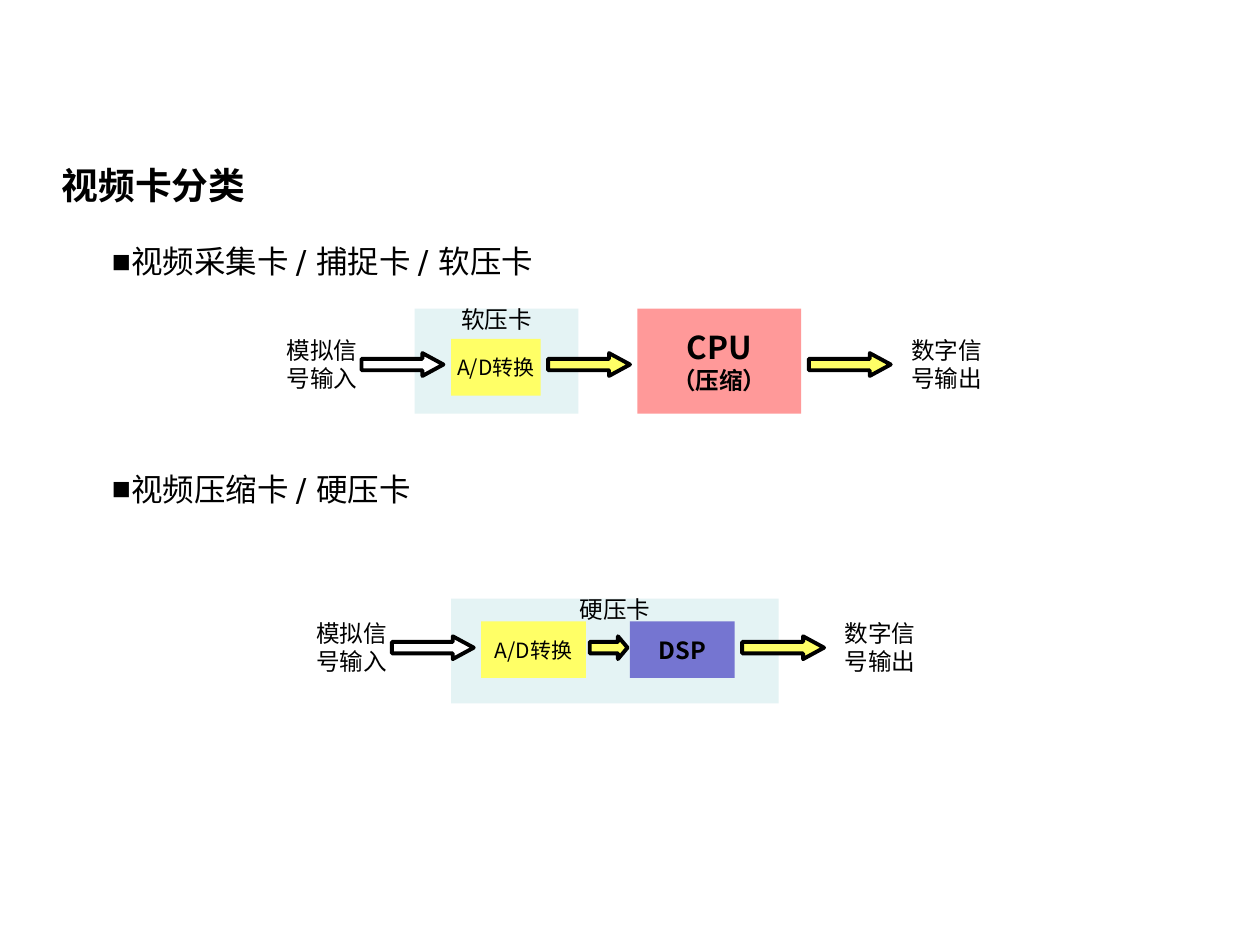
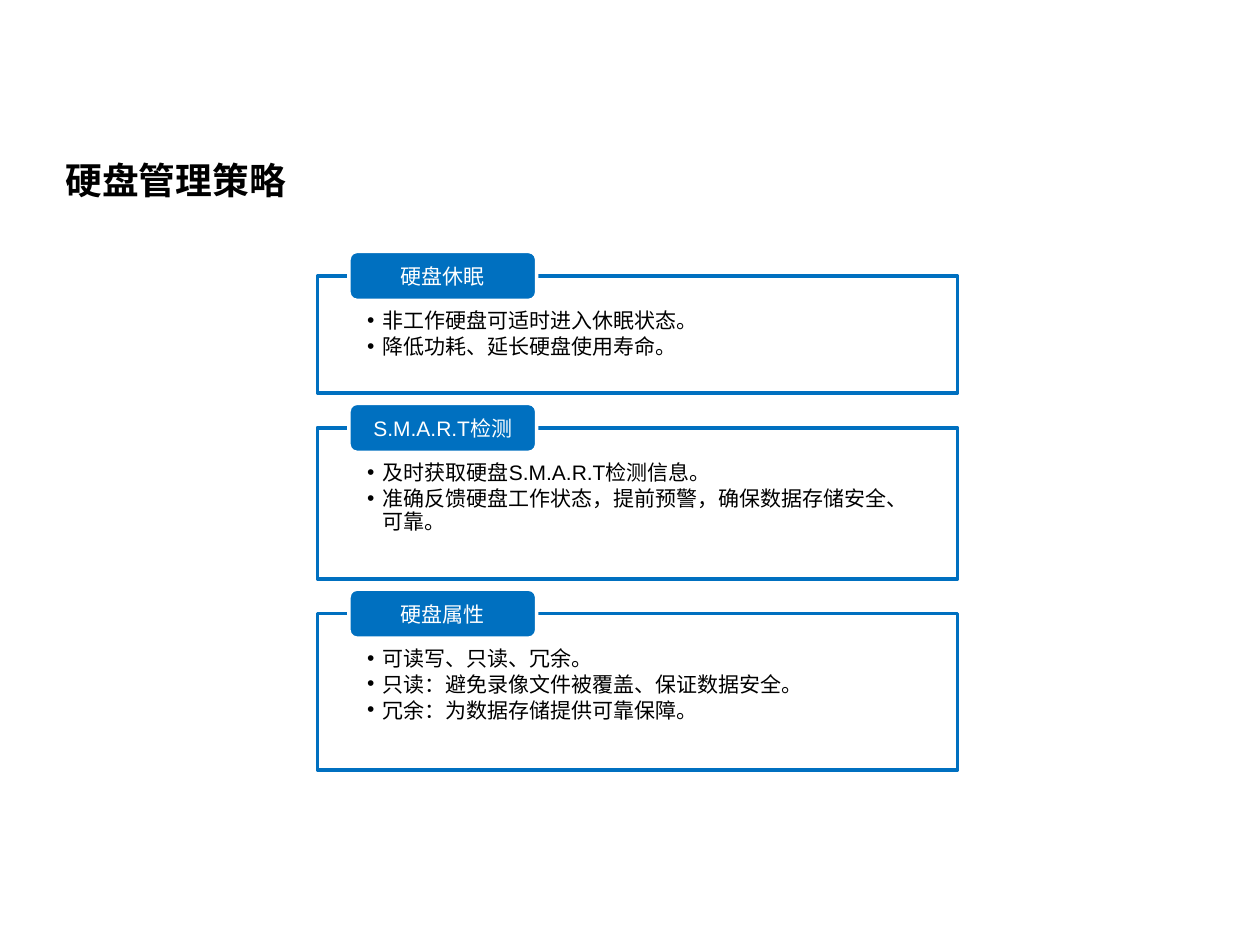
from lxml import etree
from pptx import Presentation
from pptx.dml.color import RGBColor
from pptx.enum.lang import MSO_LANGUAGE_ID
from pptx.enum.shapes import MSO_SHAPE
from pptx.enum.text import MSO_ANCHOR, PP_ALIGN
from pptx.oxml.ns import qn
from pptx.util import Pt

BLACK = RGBColor(0x00, 0x00, 0x00)
WHITE = RGBColor(0xFF, 0xFF, 0xFF)
YELLOW = RGBColor(0xFF, 0xFF, 0x66)
PALE_TEAL = RGBColor(0xE4, 0xF3, 0xF4)
PINK = RGBColor(0xFF, 0x99, 0x99)
VIOLET = RGBColor(0x75, 0x75, 0xD1)
BLUE = RGBColor(0x00, 0x70, 0xC0)

RECT = MSO_SHAPE.RECTANGLE
ROUNDED = MSO_SHAPE.ROUNDED_RECTANGLE
ARROW = MSO_SHAPE.RIGHT_ARROW
LEFT, CENTER = PP_ALIGN.LEFT, PP_ALIGN.CENTER
TOP, MIDDLE = MSO_ANCHOR.TOP, MSO_ANCHOR.MIDDLE
CHINESE = MSO_LANGUAGE_ID.SIMPLIFIED_CHINESE

TITLE = {"name": "Arial", "size": Pt(21), "bold": True}
TOPIC = {"name": "DejaVu Sans", "size": Pt(18)}
LABEL = {"name": "Noto Sans CJK SC", "size": Pt(13.5)}
STRONG = {**LABEL, "bold": True}
CHIP = {**STRONG, "size": Pt(18)}
STAGE = {**LABEL, "size": Pt(12)}
POINT = {"name": "Arial", "size": Pt(12)}
TAG = {**POINT, "color": WHITE}

CARD_TYPES = {
    "title": "视频卡分类",
    "title_at": (28, 90.7),
    "topics": ["视频采集卡 / 捕捉卡 / 软压卡", "视频压缩卡 / 硬压卡"],
    "flows": [
        {
            "axis": 208.3,
            "panel": ("软压卡", 236.9, 176.4, 93.6),
            "blocks": [
                ([("A/D转换", STAGE)], YELLOW, 257.8, 193.7, 51.1, 32.4),
                ([("CPU", CHIP), ("（压缩）", STRONG)], PINK, 364.3, 176.4, 93.6, 60),
            ],
            "arrows": [(206.6, 46.8, WHITE), (313.2, 46.8, YELLOW), (462.2, 46.8, YELLOW)],
            "ends": [("模拟信号输入", 152), ("数字信号输出", 509)],
        },
        {
            "axis": 370.1,
            "panel": ("硬压卡", 257.8, 342, 187.2),
            "blocks": [
                ([("A/D转换", STAGE)], YELLOW, 275, 355, 59.8, 32.4),
                ([("DSP", STRONG)], VIOLET, 360, 355, 59.8, 32.4),
            ],
            "arrows": [(223.9, 46.8, WHITE), (337, 21.6, YELLOW), (424.1, 46.8, YELLOW)],
            "ends": [("模拟信号输入", 168.9), ("数字信号输出", 471)],
        },
    ],
}

DISK_POLICY = {
    "title": "硬盘管理策略",
    "title_at": (30.2, 87.8),
    "cards": [
        ("硬盘休眠", 67, ["非工作硬盘可适时进入休眠状态。", "降低功耗、延长硬盘使用寿命。"]),
        ("S.M.A.R.T检测", 86.4, [
            "及时获取硬盘S.M.A.R.T检测信息。",
            "准确反馈硬盘工作状态，提前预警，确保数据存储安全、可靠。",
        ]),
        ("硬盘属性", 89.3, [
            "可读写、只读、冗余。",
            "只读：避免录像文件被覆盖、保证数据安全。",
            "冗余：为数据存储提供可靠保障。",
        ]),
    ],
}

PANEL_HEIGHT = 60
ARROW_HEIGHT = 13
END_WIDTH, END_HEIGHT = 64, 40.3
CARD_LEFT, CARD_TOP, CARD_WIDTH, CARD_GAP = 181.4, 157.7, 365.8, 19.8
TAG_LEFT, TAG_WIDTH, TAG_HEIGHT, TAG_RISE = 199.4, 107.3, 28, 14


def set_font(font, style):
    values = {"language_id": CHINESE, **style}
    font.color.rgb = values.pop("color", BLACK)
    for field, value in values.items():
        setattr(font, field, value)


def set_bullet(paragraph, symbol, indent):
    properties = paragraph._p.get_or_add_pPr()
    properties.set("marL", str(Pt(indent)))
    properties.set("indent", str(-Pt(indent)))
    etree.SubElement(properties, qn("a:buFont")).set("typeface", "Arial")
    etree.SubElement(properties, qn("a:buChar")).set("char", symbol)


def write(shape, lines, align=CENTER, anchor=MIDDLE, insets=(0, 0, 0, 0),
          wrap=True, bullet=None, **spacing):
    frame = shape.text_frame
    frame.word_wrap = wrap
    frame.vertical_anchor = anchor
    for side, inset in zip(("left", "top", "right", "bottom"), insets):
        setattr(frame, f"margin_{side}", Pt(inset))
    for number, (text, style) in enumerate(lines):
        paragraph = frame.add_paragraph() if number else frame.paragraphs[0]
        paragraph.alignment = align
        for field, value in spacing.items():
            if number or field != "space_before":
                setattr(paragraph, field, Pt(value))
        if bullet:
            set_bullet(paragraph, *bullet)
        run = paragraph.add_run()
        run.text = text
        set_font(run.font, style)


def add_block(slide, preset, left, top, width, height, fill, line=None, weight=2):
    block = slide.shapes.add_shape(preset, Pt(left), Pt(top), Pt(width), Pt(height))
    block.shadow.inherit = False
    block.fill.solid()
    block.fill.fore_color.rgb = fill
    if line is None:
        block.line.fill.background()
    else:
        block.line.color.rgb = line
        block.line.width = Pt(weight)
    return block


def add_text(slide, left, top, width, height):
    return slide.shapes.add_textbox(Pt(left), Pt(top), Pt(width), Pt(height))


def add_titled_slide(deck, content):
    slide = deck.slides.add_slide(deck.slide_layouts[5])
    title = slide.shapes.title
    left, top = content["title_at"]
    for field, value in {"left": left, "top": top, "width": 538.6, "height": 29.5}.items():
        setattr(title, field, Pt(value))
    write(title, [(content["title"], TITLE)], align=LEFT, insets=(7.2, 3.6, 7.2, 3.6))
    return slide


def add_flow(slide, flow):
    name, left, top, width = flow["panel"]
    panel = add_block(slide, RECT, left, top, width, PANEL_HEIGHT, PALE_TEAL)
    write(panel, [(name, LABEL)], anchor=TOP, insets=(0, -2, 0, 0), line_spacing=16)
    for lines, fill, left, top, width, height in flow["blocks"]:
        block = add_block(slide, RECT, left, top, width, height, fill)
        write(block, lines, wrap=False)
    for left, width, fill in flow["arrows"]:
        arrow = add_block(slide, ARROW, left, flow["axis"] - ARROW_HEIGHT / 2,
                          width, ARROW_HEIGHT, fill, BLACK, 2.25)
        arrow.adjustments[1] = 0.92 if width > 30 else 0.42
    for text, left in flow["ends"]:
        end = add_text(slide, left, flow["axis"] - END_HEIGHT / 2, END_WIDTH, END_HEIGHT)
        write(end, [(text, LABEL)], insets=(7.2, 3.6, 7.2, 3.6), line_spacing=16)


def build_card_types(deck):
    slide = add_titled_slide(deck, CARD_TYPES)
    topics = add_text(slide, 56.9, 134.5, 663, 314.6)
    write(topics, [(topic, TOPIC) for topic in CARD_TYPES["topics"]], align=LEFT,
          anchor=TOP, insets=(7.2, 3.6, 7.2, 3.6), bullet=("■", 11),
          line_spacing=22, space_before=108)
    for flow in CARD_TYPES["flows"]:
        add_flow(slide, flow)


def build_disk_policy(deck):
    slide = add_titled_slide(deck, DISK_POLICY)
    top = CARD_TOP
    for name, height, points in DISK_POLICY["cards"]:
        card = add_block(slide, RECT, CARD_LEFT, top, CARD_WIDTH, height, WHITE, BLUE)
        write(card, [(point, POINT) for point in points], align=LEFT, anchor=TOP,
              insets=(28.4, 19.4, 28.4, 6.5), bullet=("•", 9),
              line_spacing=13, space_after=1.8)
        tag = add_block(slide, ROUNDED, TAG_LEFT, top - TAG_RISE,
                        TAG_WIDTH, TAG_HEIGHT, BLUE, WHITE)
        write(tag, [(name, TAG)])
        top += height + CARD_GAP


def main():
    deck = Presentation()
    deck.slide_width, deck.slide_height = Pt(720), Pt(540)
    build_card_types(deck)
    build_disk_policy(deck)
    deck.save("out.pptx")


if __name__ == "__main__":
    main()
